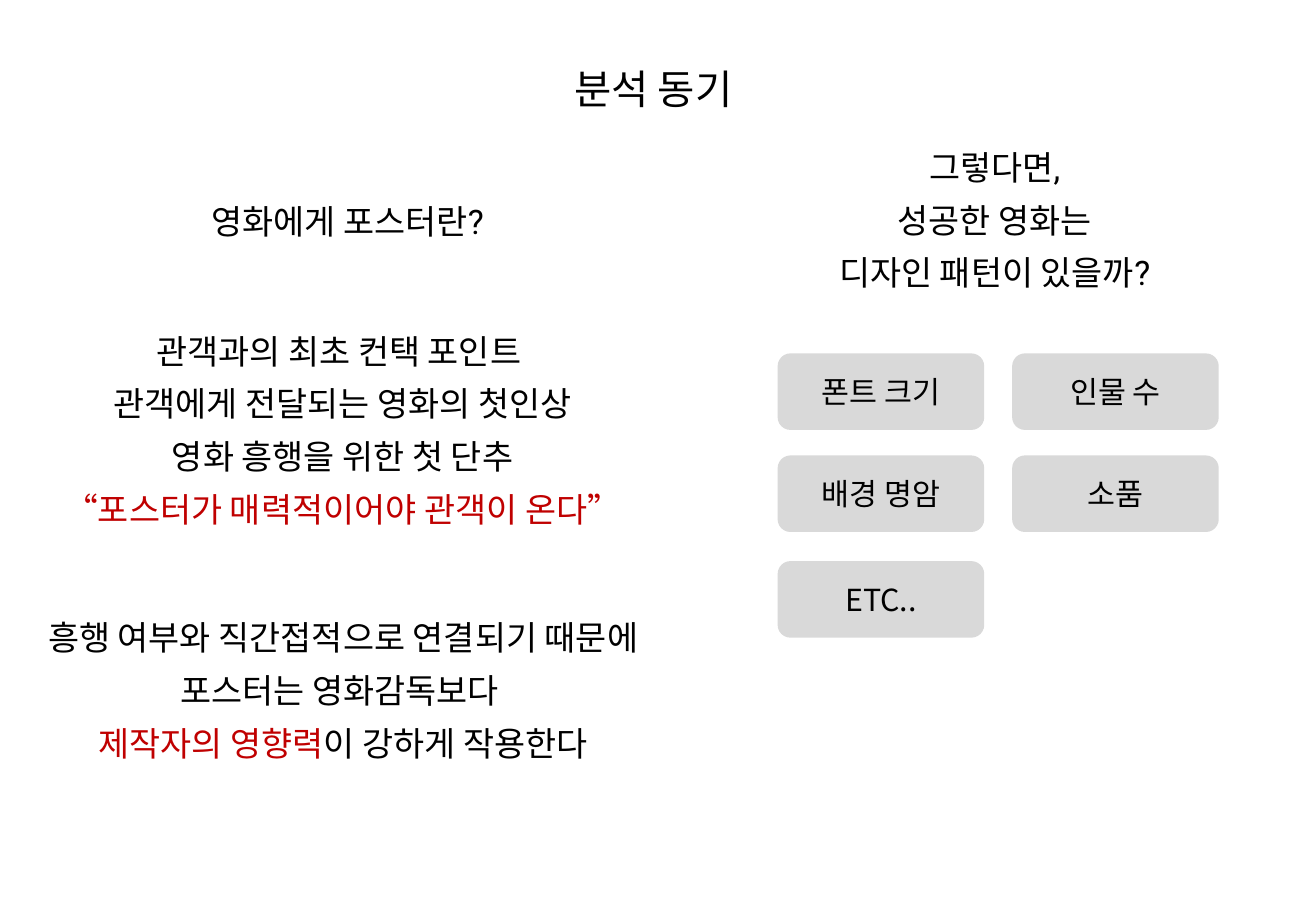
from lxml.etree import SubElement
from pptx import Presentation
from pptx.dml.color import RGBColor
from pptx.enum.shapes import MSO_SHAPE
from pptx.enum.text import MSO_ANCHOR, MSO_AUTO_SIZE, PP_ALIGN
from pptx.oxml.ns import qn
from pptx.util import Pt

PX = 9144  # EMU per px, 100 px to the inch
COLORS = {"text": "000000", "accent": "C00000", "box": "D9D9D9"}
NOTO, ROBOTO = "Noto Sans CJK KR", "Roboto"


def px(*lengths):
    return [n * PX for n in lengths]


def rgb(name):
    return RGBColor.from_string(COLORS[name])


def format_paragraph(p, size, font, color="text", spacing=None):
    p.alignment = PP_ALIGN.CENTER
    p.line_spacing = spacing
    p.font.size = Pt(size)
    p.font.name = font
    p.font.color.rgb = rgb(color)
    # Hangul always uses the Korean font
    SubElement(p.font._element, qn("a:ea")).set("typeface", NOTO)


def add_title(s, text, box):
    title = s.shapes.title
    title.left, title.top, title.width, title.height = px(*box)
    tf = title.text_frame
    tf.text = text
    tf.vertical_anchor = MSO_ANCHOR.TOP
    tf.auto_size = MSO_AUTO_SIZE.SHAPE_TO_FIT_TEXT
    format_paragraph(tf.paragraphs[0], 24, ROBOTO, spacing=1.3)


def add_text(s, box, lines):
    """Each line is (font, color, text), with an optional black ending."""
    tf = s.shapes.add_textbox(*px(*box)).text_frame
    tf.word_wrap = False
    tf.auto_size = MSO_AUTO_SIZE.SHAPE_TO_FIT_TEXT
    for i, (font, color, text, *ending) in enumerate(lines):
        p = tf.add_paragraph() if i else tf.paragraphs[0]
        format_paragraph(p, 20, font, color, 1.3)
        p.add_run().text = text
        for part in ending:
            r = p.add_run()
            r.text = part
            r.font.name = ROBOTO
            r.font.color.rgb = rgb("text")


def add_factor(s, left, top, text):
    sp = s.shapes.add_shape(MSO_SHAPE.ROUNDED_RECTANGLE, *px(left, top, 170, 63))
    sp.shadow.inherit = False
    sp.fill.solid()
    sp.fill.fore_color.rgb = rgb("box")
    sp.line.fill.background()
    tf = sp.text_frame
    tf.text = text
    tf.vertical_anchor = MSO_ANCHOR.MIDDLE
    format_paragraph(tf.paragraphs[0], 18, NOTO)


def main():
    prs = Presentation()
    prs.slide_width, prs.slide_height = px(1083, 750)
    s = prs.slides.add_slide(prs.slide_layouts[5])
    add_title(s, "분석 동기 ", (0, 36, 1083, 60))

    # Left column: what a poster means to a film
    add_text(s, (36, 257, 492, 185), [
        (NOTO, "text", "관객과의 최초 컨택 포인트 "),
        (NOTO, "text", "관객에게 전달되는 영화의 첫인상"),
        (NOTO, "text", "영화 흥행을 위한 첫 단추"),
        (ROBOTO, "accent", "“포스터가 매력적이어야 관객이 온다”"),
    ])
    add_text(s, (159, 150, 254, 51), [(NOTO, "text", "영화에게", " 포스터란?")])
    add_text(s, (21, 493, 523, 141), [
        (ROBOTO, "text", "흥행 여부와 직간접적으로 연결되기 때문에"),
        (ROBOTO, "text", "포스터는 영화감독보다 "),
        (ROBOTO, "accent", "제작자의 영향력", "이 강하게 작용한다"),
    ])

    # Right column: the question and the design factors
    question = ["그렇다면,", "성공한 영화는", "디자인 패턴이 있을까?"]
    add_text(s, (674, 106, 289, 139), [(ROBOTO, "text", line) for line in question])
    rows = {291: ["폰트 크기", "인물 수"], 375: ["배경 명암", "소품"], 462: ["ETC.."]}
    for top, factors in rows.items():
        for col, factor in enumerate(factors):
            add_factor(s, 640 + 193 * col, top, factor)

    prs.save("out.pptx")


if __name__ == "__main__":
    main()
